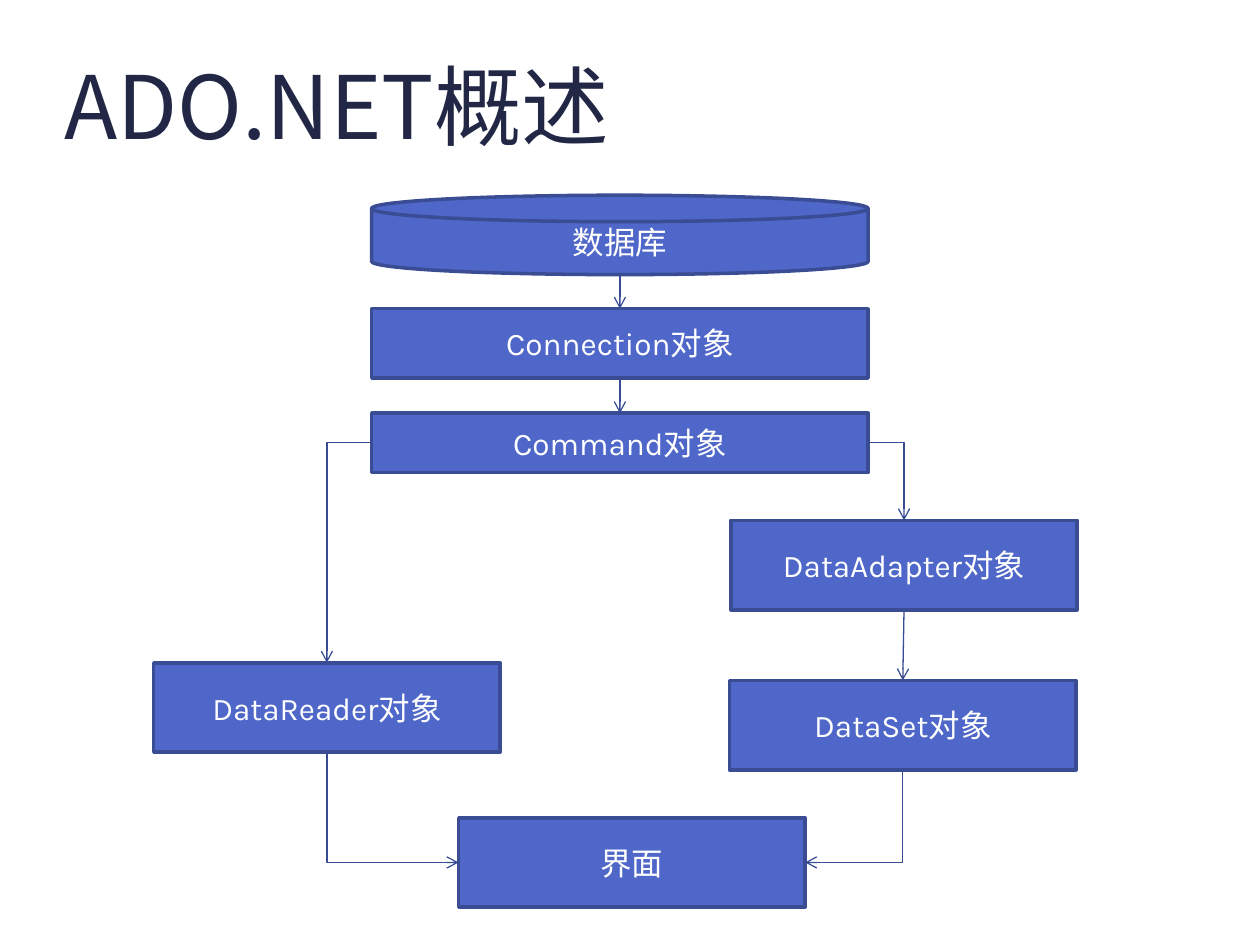
import dataclasses

import pptx
import pptx.dml.color
import pptx.enum.shapes
import pptx.enum.text
import pptx.oxml
import pptx.oxml.ns
import pptx.util
from pptx.util import Inches

KIND = pptx.enum.shapes.MSO_SHAPE
LINK = pptx.enum.shapes.MSO_CONNECTOR
ALIGN = pptx.enum.text.PP_ALIGN
ANCHOR = pptx.enum.text.MSO_ANCHOR
TOP, LEFT, BOTTOM, RIGHT = range(4)


@dataclasses.dataclass(frozen=True)
class Theme:
    """Colours, fonts and sizes of the slide."""
    paper: str = "FFFFFF"
    ink: str = "212745"
    fill: str = "4E67C8"
    edge: str = "3A4C94"
    wire: str = "384B95"
    latin: str = "Karla"
    asian: str = "Noto Sans CJK SC"
    head: float = 50
    body: float = 18
    border: float = 2
    thin: float = 0.75


THEME = Theme()


def paint(color, value):
    """Set a colour format to a hex value."""
    color.rgb = pptx.dml.color.RGBColor.from_string(value)


def tag(parent, name, **attrs):
    """Append a drawing element with attributes to a parent."""
    item = pptx.oxml.parse_xml(f"<a:{name} {pptx.oxml.ns.nsdecls('a')}/>")
    for key, value in attrs.items():
        item.set(key, value)
    parent.append(item)


def write(shape, text, size=THEME.body, font=THEME.latin, color=THEME.paper,
          align=ALIGN.CENTER, anchor=ANCHOR.MIDDLE):
    """Put formatted text into a shape."""
    frame = shape.text_frame
    frame.word_wrap = True
    frame.vertical_anchor = anchor
    line = frame.paragraphs[0]
    line.alignment = align
    run = line.add_run()
    run.text = text
    run.font.size = pptx.util.Pt(size)
    run.font.name = font
    paint(run.font.color, color)
    tag(run.font._element, "ea", typeface=THEME.asian)


def node(slide, text, box, kind=KIND.RECTANGLE):
    """Draw one labelled node of the flow."""
    shape = slide.shapes.add_shape(kind, *map(Inches, box))
    shape.shadow.inherit = False
    shape.fill.solid()
    paint(shape.fill.fore_color, THEME.fill)
    paint(shape.line.color, THEME.edge)
    shape.line.width = pptx.util.Pt(THEME.border)
    write(shape, text)
    return shape


def site(shape, side):
    """Return the middle of one side of a shape."""
    across = {LEFT: 0, RIGHT: shape.width}.get(side, shape.width // 2)
    down = {TOP: 0, BOTTOM: shape.height}.get(side, shape.height // 2)
    return shape.left + across, shape.top + down


def wire(slide, kind, start, stop, end="tailEnd"):
    """Draw a connector with an arrowhead at the named end."""
    link = slide.shapes.add_connector(kind, *site(*start), *site(*stop))
    paint(link.line.color, THEME.wire)
    link.line.width = pptx.util.Pt(THEME.thin)
    tag(link.line._get_or_add_ln(), end, type="arrow")
    tag(link._element.spPr, "effectLst")
    return link


def drop(slide, upper, lower):
    """Join two stacked nodes with a straight arrow."""
    link = wire(slide, LINK.STRAIGHT, (upper, BOTTOM), (lower, TOP))
    if upper.auto_shape_type == KIND.RECTANGLE:
        link.begin_connect(upper, BOTTOM)
    link.end_connect(lower, TOP)


def bend(slide, start, stop, end="tailEnd"):
    """Draw an arrow that runs sideways, then turns once."""
    link = wire(slide, LINK.ELBOW, start, stop, end)
    link._element.spPr.find(pptx.oxml.ns.qn("a:prstGeom")).set(
        "prst", "bentConnector2")


def title(slide, box):
    """Write the slide title in its box."""
    shape = slide.shapes.add_textbox(*map(Inches, box))
    frame = shape.text_frame
    frame.margin_left = frame.margin_right = frame.margin_bottom = 0
    write(shape, "ADO.NET概述", size=THEME.head, font=THEME.asian,
          color=THEME.ink, align=ALIGN.LEFT, anchor=ANCHOR.BOTTOM)


def flow(slide, box):
    """Draw the data access flow inside its box."""
    x, y, w, h = box
    wide, slim, tall = 3.94, 2.75, 0.71
    mid, right = x + 1.73, x + w - slim
    base = node(slide, "数据库", (mid, y, wide, 0.63),
                KIND.FLOWCHART_MAGNETIC_DISK)
    conn = node(slide, "Connection对象", (mid, y + 0.9, wide, 0.55))
    cmd = node(slide, "Command对象", (mid, y + 1.73, wide, 0.47))
    read = node(slide, "DataReader对象", (x, y + 3.71, slim, tall))
    adapt = node(slide, "DataAdapter对象", (right, y + 2.58, slim, tall))
    data = node(slide, "DataSet对象", (right - 0.01, y + 3.85, slim, tall))
    face = node(slide, "界面", (x + 2.42, y + h - tall, slim, tall))
    for upper, lower in ((base, conn), (conn, cmd), (adapt, data)):
        drop(slide, upper, lower)
    for side, first, last in ((RIGHT, adapt, data), (LEFT, read, read)):
        bend(slide, (cmd, side), (first, TOP))
        bend(slide, (face, side), (last, BOTTOM), end="headEnd")


def main():
    """Build and save the slide."""
    deck = pptx.Presentation()
    deck.slide_width, deck.slide_height = Inches(10), Inches(7.5)
    slide = deck.slides.add_slide(deck.slide_layouts[6])
    title(slide, (0.51, 0, 9.37, 1.25))
    flow(slide, (1.22, 1.55, 7.33, 5.65))
    deck.save("out.pptx")


if __name__ == "__main__":
    main()
